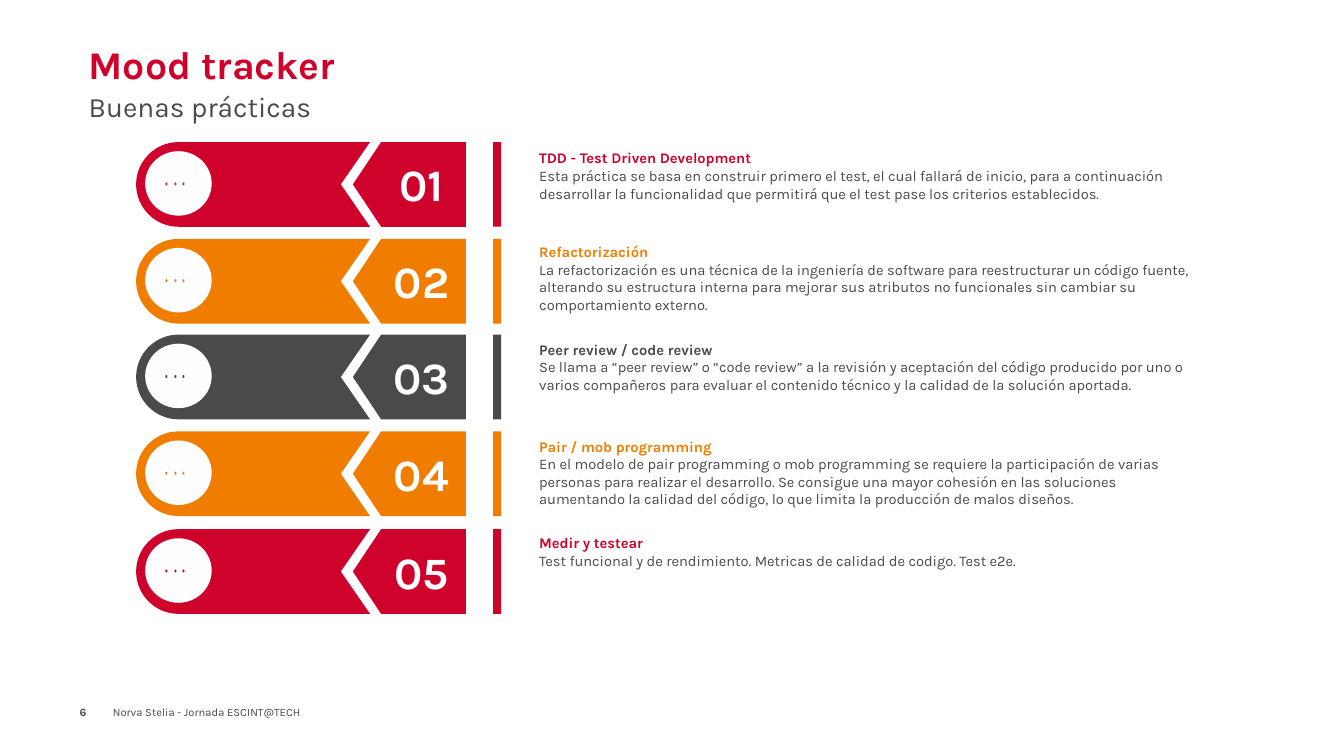
from lxml import etree
from pptx import Presentation
from pptx.dml.color import RGBColor
from pptx.enum.shapes import MSO_SHAPE
from pptx.enum.text import MSO_ANCHOR, MSO_AUTO_SIZE, PP_ALIGN
from pptx.oxml.ns import qn
from pptx.util import Inches, Pt

RECTANGLE, OVAL = MSO_SHAPE.RECTANGLE, MSO_SHAPE.OVAL
TOP, MIDDLE, BOTTOM = MSO_ANCHOR.TOP, MSO_ANCHOR.MIDDLE, MSO_ANCHOR.BOTTOM
LEFT, CENTER = PP_ALIGN.LEFT, PP_ALIGN.CENTER
NO_AUTOFIT = MSO_AUTO_SIZE.NONE

FONT = "Karla"
RED, ORANGE, GRAY, WHITE = "CF022B", "F07D00", "4A4A4A", "FFFFFF"
DISC, BRIGHT_RED = "FEFDFF", "DA202D"

ROW_HEIGHT = 0.84
RADIUS = ROW_HEIGHT / 2
ARC_HANDLE = 0.55

PRACTICES = [
    (1.41, 1.43, RED, BRIGHT_RED, "TDD - Test Driven Development",
     "Esta práctica se basa en construir primero el test, el cual fallará de inicio, "
     "para a continuación desarrollar la funcionalidad que permitirá que el test pase "
     "los criterios establecidos."),
    (2.37, 2.36, ORANGE, ORANGE, "Refactorización",
     "La refactorización es una técnica de la ingeniería de software para reestructurar "
     "un código fuente, alterando su estructura interna para mejorar sus atributos no "
     "funcionales sin cambiar su comportamiento externo."),
    (3.32, 3.33, GRAY, GRAY, "Peer review / code review",
     "Se llama a “peer review” o “code review” a la revisión y aceptación del código "
     "producido por uno o varios compañeros para evaluar el contenido técnico y la "
     "calidad de la solución aportada."),
    (4.28, 4.29, ORANGE, ORANGE, "Pair / mob programming",
     "En el modelo de pair programming o mob programming se requiere la participación "
     "de varias personas para realizar el desarrollo. Se consigue una mayor cohesión en "
     "las soluciones aumentando la calidad del código, lo que limita la producción de "
     "malos diseños."),
    (5.25, 5.25, RED, RED, "Medir y testear",
     "Test funcional y de rendimiento. Metricas de calidad de codigo. Test e2e."),
]


def rgb(color):
    return RGBColor.from_string(color)


def paint(shape, color):
    shape.shadow.inherit = False
    shape.fill.solid()
    shape.fill.fore_color.rgb = rgb(color)
    shape.line.fill.background()


def add_solid(page, kind, left, top, width, height, color):
    shape = page.shapes.add_shape(
        kind, Inches(left), Inches(top), Inches(width), Inches(height))
    paint(shape, color)


def add_outline(page, points, color):
    corners = [(Inches(x), Inches(y)) for x, y in points]
    builder = page.shapes.build_freeform(*corners[0])
    builder.add_line_segments(corners[1:], close=True)
    shape = builder.convert_to_shape()
    paint(shape, color)
    return shape


def bend(segment, handles):
    curve = etree.Element(qn("a:cubicBezTo"))
    for x, y in handles:
        etree.SubElement(curve, qn("a:pt"), x=str(Inches(x)), y=str(Inches(y)))
    curve.append(segment[0])
    segment.getparent().replace(segment, curve)


def write(para, text, size, color, bold=False, align=LEFT):
    para.text = text
    para.alignment = align
    para.font.name = FONT
    para.font.size = Pt(size)
    para.font.bold = bold
    para.font.color.rgb = rgb(color)


def add_text(page, left, top, width, height, lines, anchor=TOP, inset=True):
    box = page.shapes.add_textbox(
        Inches(left), Inches(top), Inches(width), Inches(height))
    frame = box.text_frame
    frame.word_wrap = True
    frame.vertical_anchor = anchor
    if not inset:
        clear_margins(frame)
    for index, line in enumerate(lines):
        para = frame.add_paragraph() if index else frame.paragraphs[0]
        write(para, *line)


def clear_margins(frame):
    frame.margin_left = frame.margin_right = 0
    frame.margin_top = frame.margin_bottom = 0


def fill_heading(holder, top, height, anchor, line):
    holder.left, holder.top = Inches(0.88), Inches(top)
    holder.width, holder.height = Inches(11.76), Inches(height)
    frame = holder.text_frame
    frame.auto_size = NO_AUTOFIT
    frame.vertical_anchor = anchor
    clear_margins(frame)
    para = frame.paragraphs[0]
    write(para, *line)
    para.space_before = Pt(6)
    properties = para._p.get_or_add_pPr()
    properties.set("marL", "0")
    properties.set("indent", "0")
    bullet = etree.Element(qn("a:buNone"))
    properties.find(qn("a:spcBef")).addnext(bullet)


def add_banner(page, top, color):
    middle, bottom = top + RADIUS, top + ROW_HEIGHT
    left = 1.35
    center = left + RADIUS
    body = add_outline(page, [(3.67, top), (center, top), (left, middle),
                              (center, bottom), (3.67, bottom), (3.38, middle)], color)
    near, far = RADIUS * (1 - ARC_HANDLE), RADIUS * (1 + ARC_HANDLE)
    segments = list(body._element.iter(qn("a:lnTo")))
    bend(segments[1], [(near, 0), (0, near)])
    bend(segments[2], [(0, far), (near, ROW_HEIGHT)])
    add_outline(page, [(4.62, bottom), (3.78, bottom), (3.5, middle),
                       (3.78, top), (4.62, top)], color)
    add_solid(page, RECTANGLE, 4.89, top, 0.08, ROW_HEIGHT, color)


def add_badge(page, top, color):
    add_solid(page, OVAL, 1.44, top + 0.09, 0.66, 0.64, DISC)
    for left in (1.64, 1.73, 1.81):
        add_solid(page, OVAL, left, top + 0.4, 0.02, 0.03, color)


def add_practice(page, number, top, text_top, color, dot_color, heading, detail):
    add_banner(page, top, color)
    add_badge(page, top, dot_color)
    add_text(page, 3.74, top + 0.1, 0.88, 0.64,
             [(f"{number:02}", 32, WHITE, True, CENTER)])
    add_text(page, 5.25, text_top, 6.74, 0.81,
             [(heading, 10.5, color, True), (detail, 10.5, GRAY)])


def main():
    deck = Presentation()
    deck.slide_width, deck.slide_height = Inches(13.33), Inches(7.5)
    page = deck.slides.add_slide(deck.slide_layouts[1])
    fill_heading(page.shapes.title, -0.15, 1.02, BOTTOM,
                 ("Mood tracker", 28, RED, True))
    fill_heading(page.placeholders[1], 0.89, 0.39, TOP,
                 ("Buenas prácticas", 20, GRAY))
    for number, practice in enumerate(PRACTICES, 1):
        add_practice(page, number, *practice)
    add_text(page, 0.79, 6.92, 0.39, 0.28, [("6", 8, GRAY, True)], MIDDLE, False)
    add_text(page, 1.12, 6.92, 3.94, 0.28,
             [("Norva Stelia - Jornada ESCINT@TECH", 8, GRAY)], MIDDLE, False)
    deck.save("out.pptx")


if __name__ == "__main__":
    main()
